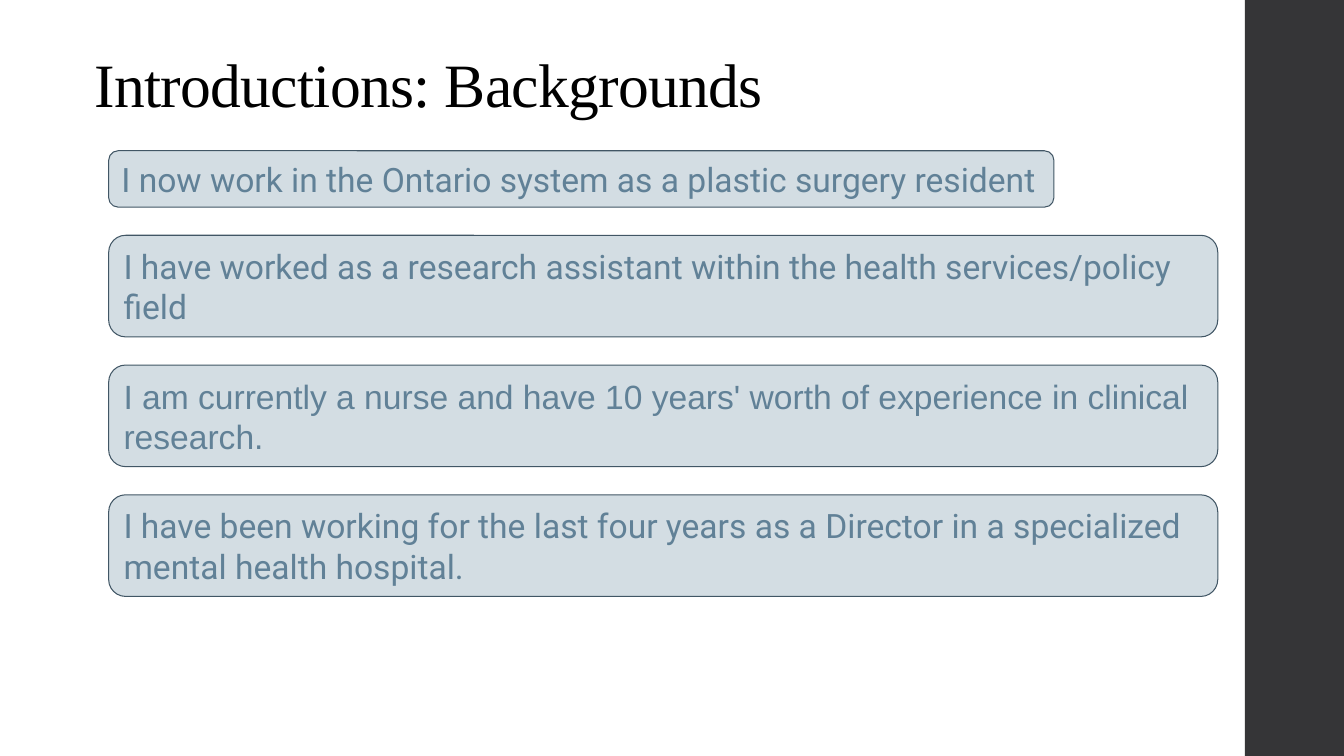
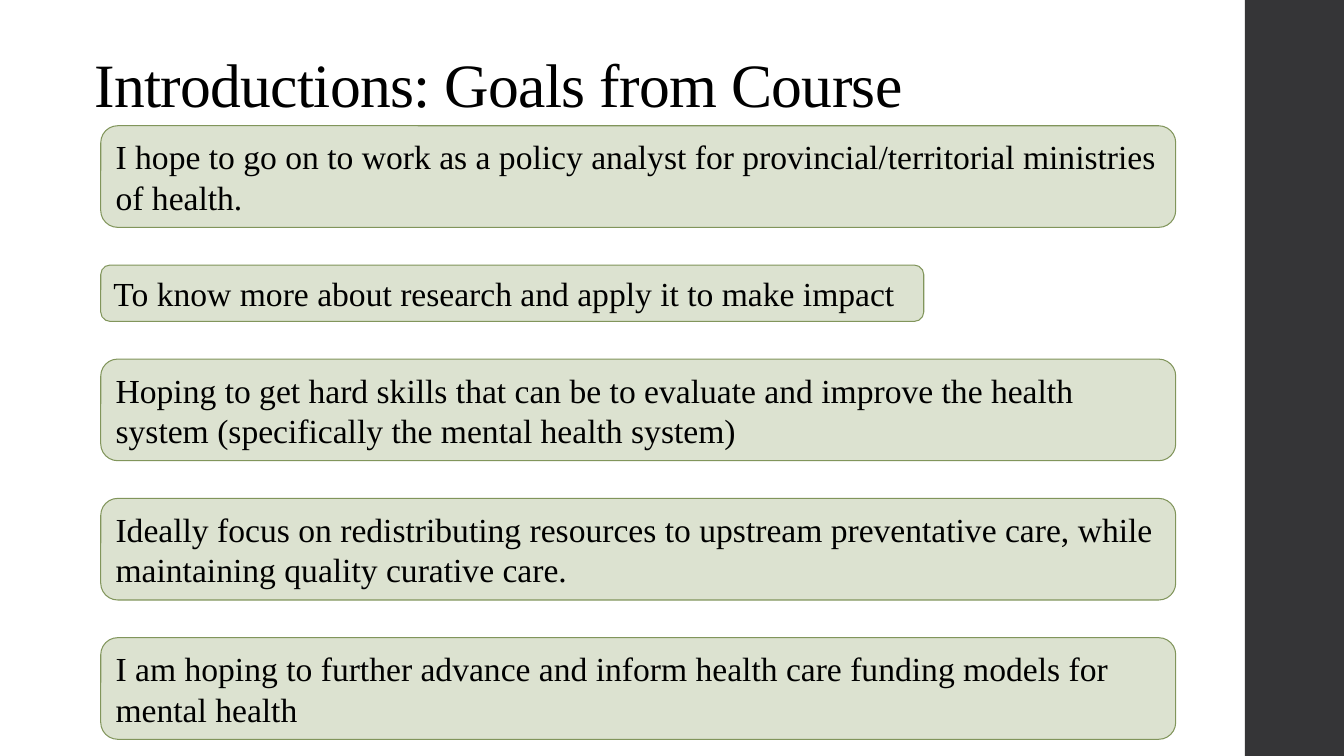
from dataclasses import dataclass

from pptx import Presentation
from pptx.dml.color import RGBColor
from pptx.enum.shapes import MSO_SHAPE as Kind
from pptx.enum.text import MSO_ANCHOR as Anchor, MSO_AUTO_SIZE as Fit, PP_ALIGN as Align
from pptx.slide import Slide
from pptx.util import Cm, Pt

SERIF = "Times New Roman"
SANS = "Roboto"
BLACK = "000000"
DARK = "353537"
ROW = 1.42
TALL = 2.56


@dataclass
class Card:
    text: str
    font: str
    width: float
    height: float = TALL
    wrap: bool = True


@dataclass
class Page:
    title: str
    left: float
    top: float
    gap: float
    fill: str
    line: str
    ink: str
    cards: list[Card]


PAGES = [
    Page("Introductions: Backgrounds", 2.74, 3.8, 0.71, "D3DDE3", "415665", "618197", [
        Card("I now work in the Ontario system as a plastic surgery resident",
             SANS, 23.82, ROW, False),
        Card("I have worked as a research assistant within the health services/policy field",
             SANS, 27.95),
        Card("I am currently a nurse and have 10 years' worth of experience in clinical research.",
             "Arial", 27.95),
        Card("I have been working for the last four years as a Director in a specialized "
             "mental health hospital.", SANS, 27.95),
    ]),
    Page("Introductions: Goals from Course", 2.54, 3.17, 0.95, "DCE2D0", "81955B", BLACK, [
        Card("I hope to go on to work as a policy analyst for provincial/territorial "
             "ministries of health.", SERIF, 27.09),
        Card("To know more about research and apply it to make impact", SERIF, 20.74, ROW),
        Card("Hoping to get hard skills that can be to evaluate and improve the health "
             "system (specifically the mental health system)", SERIF, 27.09),
        Card("Ideally focus on redistributing resources to upstream preventative care, "
             "while maintaining quality curative care.", SERIF, 27.09),
        Card("I am hoping to further advance and inform health care funding models for "
             "mental health", SERIF, 27.09),
    ]),
]


def tint(code: str) -> RGBColor:
    return RGBColor.from_string(code)


def write(frame, text: str, font: str, size: float, ink: str):
    frame.text = text
    par = frame.paragraphs[0]
    par.alignment = Align.LEFT
    run = par.runs[0]
    run.font.name = font
    run.font.size = Pt(size)
    run.font.color.rgb = tint(ink)
    return par


def block(slide: Slide, kind: Kind, left: float, top: float,
          width: float, height: float, fill: str):
    shape = slide.shapes.add_shape(kind, Cm(left), Cm(top), Cm(width), Cm(height))
    shape.shadow.inherit = False
    shape.fill.solid()
    shape.fill.fore_color.rgb = tint(fill)
    shape.line.fill.background()
    return shape


def head(slide: Slide, text: str) -> None:
    block(slide, Kind.RECTANGLE, 31.37, 0, 2.5, 19.05, DARK)
    box = slide.shapes.add_textbox(Cm(2.13), Cm(1.02), Cm(28.32), Cm(2.16))
    frame = box.text_frame
    frame.word_wrap = True
    frame.vertical_anchor = Anchor.BOTTOM
    par = write(frame, text, SERIF, 44, BLACK)
    par.line_spacing = 0.9
    par.runs[0].font._element.set("spc", "-50")


def stack(slide: Slide, page: Page) -> None:
    top = page.top
    for card in page.cards:
        shape = block(slide, Kind.ROUNDED_RECTANGLE, page.left, top,
                      card.width, card.height, page.fill)
        shape.line.color.rgb = tint(page.line)
        shape.line.width = Pt(0.75)
        frame = shape.text_frame
        frame.word_wrap = card.wrap
        frame.auto_size = Fit.SHAPE_TO_FIT_TEXT
        write(frame, card.text, card.font, 24, page.ink)
        top += card.height + page.gap


def main() -> None:
    deck = Presentation()
    deck.slide_width, deck.slide_height = Cm(33.87), Cm(19.05)
    blank = deck.slide_layouts[6]
    for hold in list(blank.placeholders):
        hold.element.getparent().remove(hold.element)
    for page in PAGES:
        slide = deck.slides.add_slide(blank)
        head(slide, page.title)
        stack(slide, page)
    deck.save("out.pptx")


if __name__ == "__main__":
    main()
